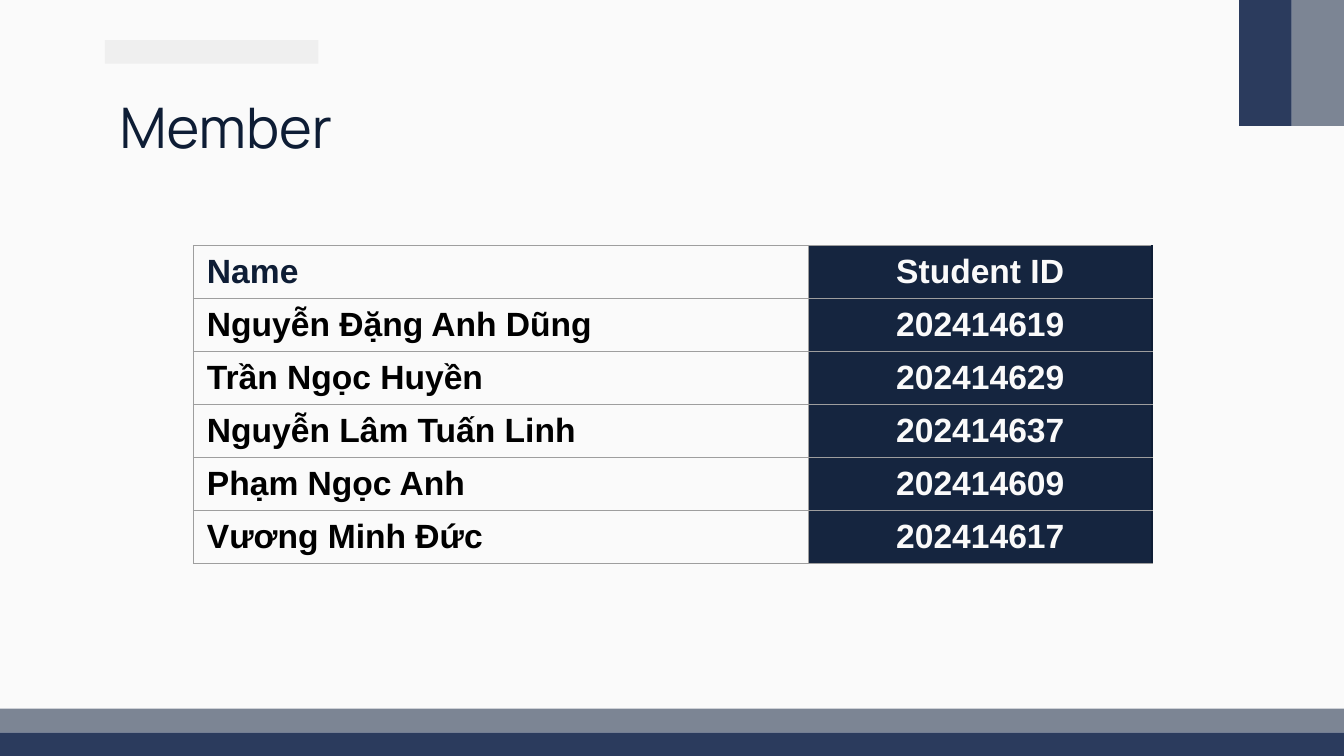
import dataclasses

import pptx
import pptx.dml.color
import pptx.enum.shapes
import pptx.enum.text
import pptx.oxml
import pptx.oxml.ns
import pptx.util

RGBColor = pptx.dml.color.RGBColor
ALIGN = pptx.enum.text.PP_ALIGN
ANCHOR = pptx.enum.text.MSO_ANCHOR

PAPER = RGBColor(0xFA, 0xFA, 0xFA)
PALE = RGBColor(0xEF, 0xEF, 0xEF)
BLUE = RGBColor(0x2B, 0x3B, 0x5D)
SLATE = RGBColor(0x7C, 0x85, 0x94)
INK = RGBColor(0x0E, 0x1D, 0x35)
NAVY = RGBColor(0x15, 0x25, 0x3F)
GREY = RGBColor(0x9E, 0x9E, 0x9E)
BLACK = RGBColor(0, 0, 0)

WIDE, HIGH = pptx.util.Inches(10), pptx.util.Inches(5.625)
BAND = 1 / 32
TAB = 0.039


@dataclasses.dataclass(frozen=True)
class Box:
    left: float
    top: float
    width: float
    height: float

    def place(self) -> tuple[int, int, int, int]:
        return (round(self.left * WIDE), round(self.top * HIGH),
                round(self.width * WIDE), round(self.height * HIGH))


@dataclasses.dataclass(frozen=True)
class Block:
    box: Box
    color: RGBColor


@dataclasses.dataclass(frozen=True)
class Member:
    name: str
    code: str


BLOCKS = [
    Block(Box(0.078, 0.053, 0.159, BAND), PALE),
    Block(Box(0, 1 - BAND, 1, BAND), BLUE),
    Block(Box(0, 1 - 2 * BAND, 1, BAND), SLATE),
    Block(Box(1 - TAB, 0, TAB, 1 / 6), SLATE),
    Block(Box(1 - 2 * TAB, 0, TAB, 1 / 6), BLUE),
]
MEMBERS = [
    Member("Name", "Student ID"),
    Member("Nguyễn Đặng Anh Dũng", "202414619"),
    Member("Trần Ngọc Huyền", "202414629"),
    Member("Nguyễn Lâm Tuấn Linh", "202414637"),
    Member("Phạm Ngọc Anh", "202414609"),
    Member("Vương Minh Đức", "202414617"),
]
TITLE = Box(0.079, 0.105, 0.843, 0.112)
TABLE = Box(0.144, 0.325, 0.713, 0.421)
SHARES = (0.642, 0.358)


def write(frame, text: str, *, font: str, size: float, color: RGBColor,
          bold: bool = False, align=ALIGN.LEFT) -> None:
    para = frame.paragraphs[0]
    para.alignment = align
    run = para.add_run()
    run.text = text
    run.font.name = font
    run.font.size = pptx.util.Pt(size)
    run.font.bold = bold
    run.font.color.rgb = color


def draw_block(slide, block: Block) -> None:
    shape = slide.shapes.add_shape(
        pptx.enum.shapes.MSO_SHAPE.RECTANGLE, *block.box.place())
    shape.shadow.inherit = False
    shape.fill.solid()
    shape.fill.fore_color.rgb = block.color
    shape.line.fill.background()


def draw_title(slide, text: str) -> None:
    title = slide.shapes.title
    title.left, title.top, title.width, title.height = TITLE.place()
    frame = title.text_frame
    frame.auto_size = pptx.enum.text.MSO_AUTO_SIZE.NONE
    frame.word_wrap = True
    frame.vertical_anchor = ANCHOR.TOP
    pad = pptx.util.Inches(0.1)
    frame.margin_left = frame.margin_right = pad
    frame.margin_top = frame.margin_bottom = pad
    write(frame, text, font="Manrope", size=30, color=INK)


def draw_edge(cell, side: str, color: RGBColor, width: float) -> None:
    space = pptx.oxml.ns.nsdecls("a")
    edge = pptx.oxml.parse_xml(
        f'<a:ln{side} {space} w="{pptx.util.Pt(width)}"><a:solidFill>'
        f'<a:srgbClr val="{color}"/></a:solidFill></a:ln{side}>')
    cell._tc.get_or_add_tcPr().append(edge)


def draw_cell(cell, text: str, color: RGBColor, is_code: bool) -> None:
    cell.vertical_anchor = ANCHOR.MIDDLE
    cell.margin_left = cell.margin_right = pptx.util.Inches(0.1)
    cell.margin_top = cell.margin_bottom = 0
    for side in "LRTB":
        if is_code and side == "R":
            draw_edge(cell, side, INK, 1)
        else:
            draw_edge(cell, side, GREY, 0.75)
    if is_code:
        cell.fill.solid()
        cell.fill.fore_color.rgb = NAVY
    else:
        cell.fill.background()
    write(cell.text_frame, text, font="Arial", size=18, color=color, bold=True,
          align=ALIGN.CENTER if is_code else ALIGN.LEFT)


def draw_table(slide, members: list[Member]) -> None:
    frame = slide.shapes.add_table(len(members), len(SHARES), *TABLE.place())
    table = frame.table
    table.first_row = table.horz_banding = False
    for col, share in zip(table.columns, SHARES):
        col.width = round(share * TABLE.width * WIDE)
    for row, member in enumerate(members):
        draw_cell(table.cell(row, 0), member.name, BLACK if row else INK, False)
        draw_cell(table.cell(row, 1), member.code, PAPER, True)


def main() -> None:
    deck = pptx.Presentation()
    deck.slide_width, deck.slide_height = WIDE, HIGH
    slide = deck.slides.add_slide(deck.slide_layouts[5])
    slide.background.fill.solid()
    slide.background.fill.fore_color.rgb = PAPER
    for block in BLOCKS:
        draw_block(slide, block)
    draw_title(slide, "Member")
    draw_table(slide, MEMBERS)
    deck.save("out.pptx")


if __name__ == "__main__":
    main()
